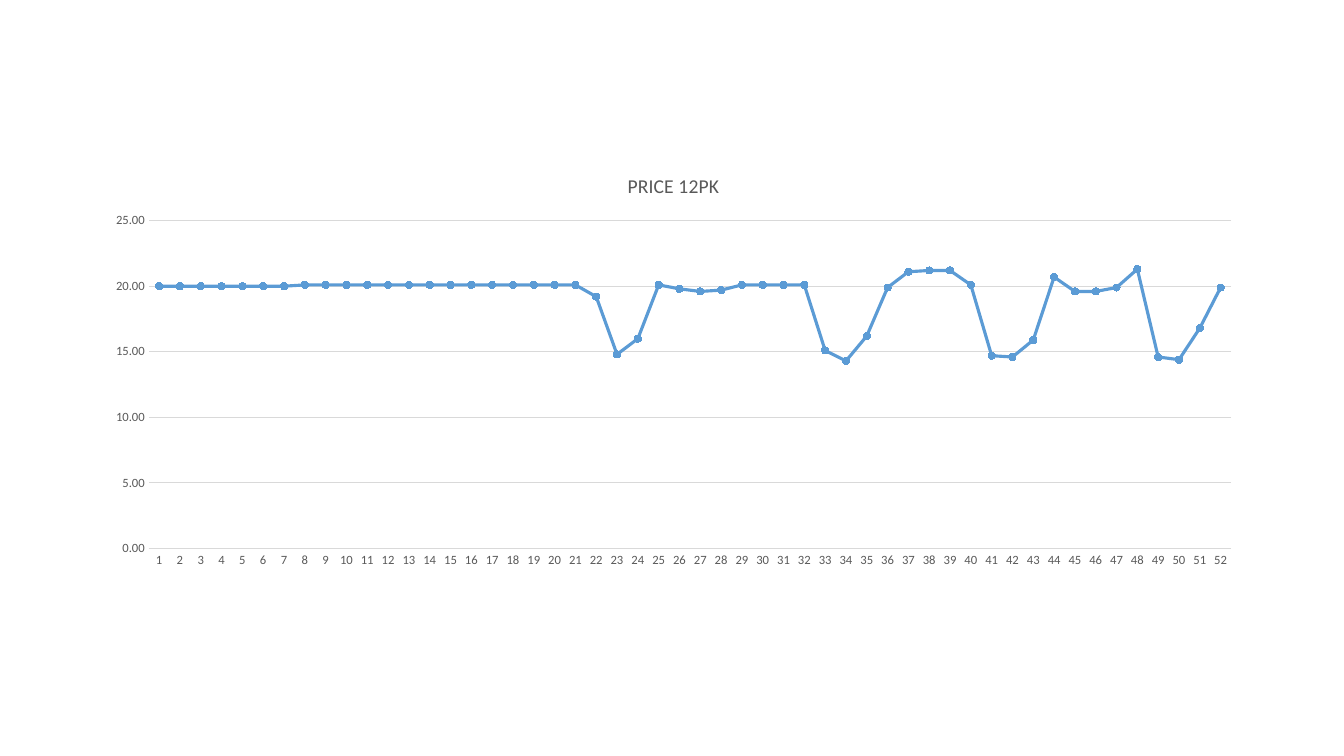
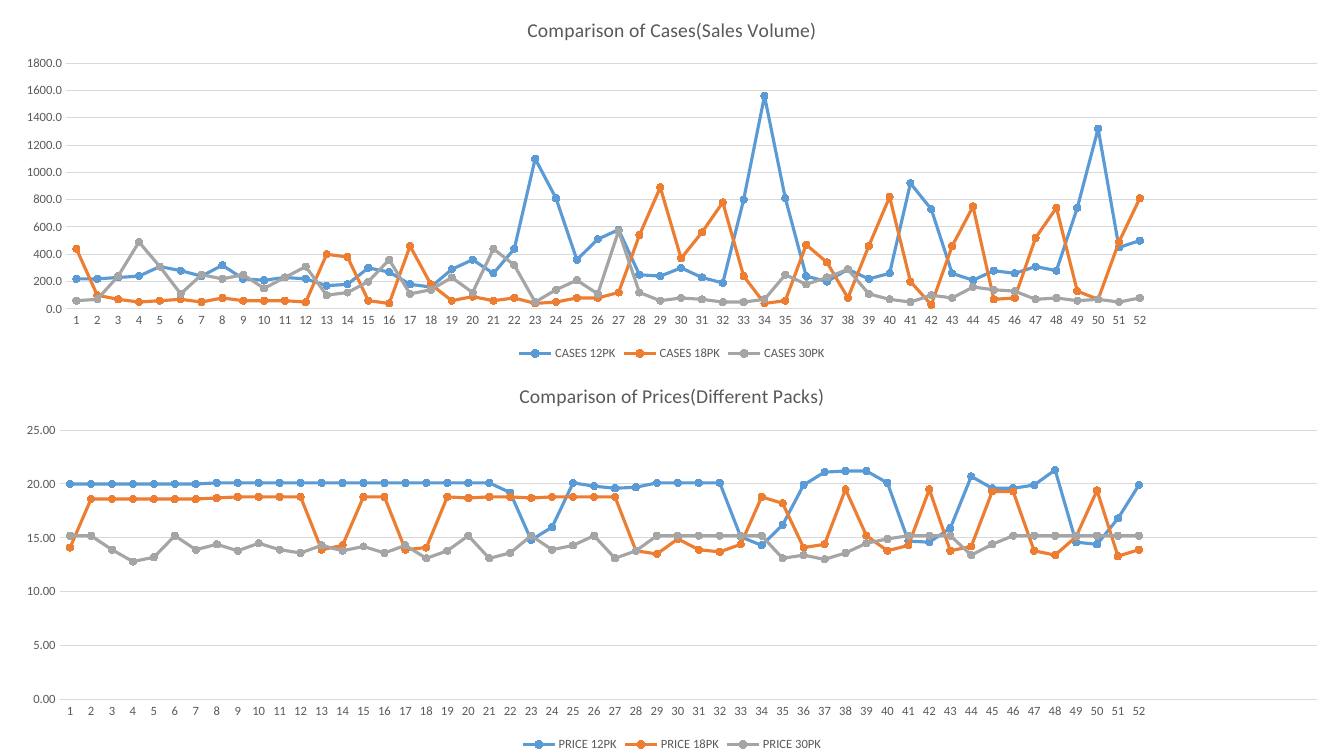
from pptx import Presentation
from pptx.chart.data import CategoryChartData
from pptx.dml.color import RGBColor
from pptx.enum.chart import XL_CHART_TYPE, XL_LEGEND_POSITION, XL_MARKER_STYLE, XL_TICK_MARK
from pptx.util import Inches, Pt

LINES = XL_CHART_TYPE.LINE_MARKERS
BOTTOM = XL_LEGEND_POSITION.BOTTOM
CIRCLE = XL_MARKER_STYLE.CIRCLE
NO_TICK = XL_TICK_MARK.NONE

BLUE = RGBColor(0x5B, 0x9B, 0xD5)
ORANGE = RGBColor(0xED, 0x7D, 0x31)
GRAY = RGBColor(0xA5, 0xA5, 0xA5)
TEXT = RGBColor(0x59, 0x59, 0x59)
GRID = RGBColor(0xD9, 0xD9, 0xD9)
TINTS = [BLUE, ORANGE, GRAY]

FACE = "Calibri"
WIDE, HIGH = 13.33, 7.5
WEEKS = 52
SLOTS = 60

PRICES = {
    "PRICE 12PK": [
        *[20] * 7, *[20.1] * 14, 19.2, 14.8, 16, 20.1, 19.8, 19.6, 19.7,
        *[20.1] * 4, 15.1, 14.3, 16.2, 19.9, 21.1, 21.2, 21.2, 20.1,
        14.7, 14.6, 15.9, 20.7, 19.6, 19.6, 19.9, 21.3, 14.6, 14.4, 16.8, 19.9],
    "PRICE 18PK": [
        14.1, *[18.6] * 6, 18.7, *[18.8] * 4, 13.9, 14.3, 18.8, 18.8,
        13.9, 14.1, 18.8, 18.7, 18.8, 18.8, 18.7, *[18.8] * 4, 13.8,
        13.5, 14.9, 13.9, 13.7, 14.4, 18.8, 18.2, 14.1, 14.4, 19.5, 15.2, 13.8,
        14.3, 19.5, 13.8, 14.2, 19.3, 19.3, 13.8, 13.4, 15.1, 19.4, 13.3, 13.9],
    "PRICE 30PK": [
        15.2, 15.2, 13.9, 12.8, 13.2, 15.2, 13.9, 14.4, 13.8, 14.5, 13.9, 13.6,
        14.3, 13.8, 14.2, 13.6, 14.3, 13.1, 13.8, 15.2, 13.1, 13.6, 15.2, 13.9,
        14.3, 15.2, 13.1, 13.8, *[15.2] * 6, 13.1, 13.4, 13, 13.6, 14.5, 14.9,
        *[15.2] * 3, 13.4, 14.4, *[15.2] * 7],
}
CASES = {
    "CASES 12PK": [
        220, 220, 230, 240, 310, 280, 240, 320, 220, 210, 230, 220, 170,
        180, 300, 270, 180, 160, 290, 360, 260, 440, 1100, 810, 360, 510,
        580, 250, 240, 300, 230, 190, 800, 1560, 810, 240, 200, 290, 220,
        260, 920, 730, 260, 210, 280, 260, 310, 280, 740, 1320, 450, 500],
    "CASES 18PK": [
        440, 100, 70, 50, 60, 70, 50, 80, 60, 60, 60, 50, 400,
        380, 60, 40, 460, 180, 60, 90, 60, 80, 40, 50, 80, 80,
        120, 540, 890, 370, 560, 780, 240, 40, 60, 470, 340, 80, 460,
        820, 200, 30, 460, 750, 70, 80, 520, 740, 130, 70, 490, 810],
    "CASES 30PK": [
        60, 70, 240, 490, 310, 110, 250, 220, 250, 150, 230, 310, 100,
        120, 200, 360, 110, 140, 230, 120, 440, 320, 50, 140, 210, 110,
        570, 120, 60, 80, 70, 50, 50, 70, 250, 180, 230, 290, 110,
        70, 50, 100, 80, 160, 140, 130, 70, 80, 60, 70, 50, 80],
}


class Deck:
    def __init__(self):
        self.prs = Presentation()
        self.prs.slide_width = Inches(WIDE)
        self.prs.slide_height = Inches(HIGH)
        self.slide = None

    def page(self):
        self.slide = self.prs.slides.add_slide(self.prs.slide_layouts[6])

    def font(self, font, size):
        font.name = FACE
        font.size = Pt(size)
        font.bold = False
        font.color.rgb = TEXT

    def rule(self, line):
        line.color.rgb = GRID
        line.width = Pt(0.75)

    def title(self, chart, text):
        chart.has_title = True
        frame = chart.chart_title.text_frame
        frame.text = text
        self.font(frame.paragraphs[0].runs[0].font, 14)
        chart.chart_title.include_in_layout = False

    def legend(self, chart):
        chart.has_legend = True
        chart.legend.position = BOTTOM
        chart.legend.include_in_layout = False
        self.font(chart.legend.font, 9)

    def axes(self, chart, top, step, code):
        for axis in (chart.category_axis, chart.value_axis):
            axis.major_tick_mark = NO_TICK
            axis.minor_tick_mark = NO_TICK
            self.font(axis.tick_labels.font, 9)
        self.rule(chart.category_axis.format.line)
        axis = chart.value_axis
        axis.minimum_scale = 0
        axis.maximum_scale = top
        axis.major_unit = step
        axis.tick_labels.number_format = code
        axis.tick_labels.number_format_is_linked = False
        axis.format.line.fill.background()
        axis.has_major_gridlines = True
        self.rule(axis.major_gridlines.format.line)

    def trace(self, series, tint):
        series.smooth = False
        series.format.line.color.rgb = tint
        series.format.line.width = Pt(2.25)
        mark = series.marker
        mark.style = CIRCLE
        mark.size = 5
        mark.format.fill.solid()
        mark.format.fill.fore_color.rgb = tint
        mark.format.line.color.rgb = tint
        mark.format.line.width = Pt(0.75)

    def chart(self, text, rows, box, top, step, code, slots=WEEKS):
        blank = slots - WEEKS
        data = CategoryChartData(number_format=code)
        data.categories = [str(week + 1) for week in range(WEEKS)] + [""] * blank
        for name, vals in rows.items():
            data.add_series(name, vals + [None] * blank)
        place = [Inches(size) for size in box]
        chart = self.slide.shapes.add_chart(LINES, *place, data).chart
        self.font(chart.font, 10)
        self.title(chart, text)
        self.axes(chart, top, step, code)
        chart.has_legend = False
        if len(rows) > 1:
            self.legend(chart)
        plot = chart.plots[0]
        plot.vary_by_categories = False
        for series, tint in zip(plot.series, TINTS):
            self.trace(series, tint)


def main():
    deck = Deck()
    deck.page()
    name = "PRICE 12PK"
    deck.chart(name, {name: PRICES[name]}, (0.92, 1.54, 11.52, 4.17), 25, 5, "0.00")

    deck.page()
    split = 3.63
    deck.chart("Comparison of Prices(Different Packs)", PRICES,
               (0, split, WIDE, HIGH - split), 25, 5, "0.00", SLOTS)
    deck.chart("Comparison of Cases(Sales Volume)", CASES,
               (0, 0, WIDE, 3.62), 1800, 200, "0.0", SLOTS)
    deck.prs.save("out.pptx")


if __name__ == "__main__":
    main()
